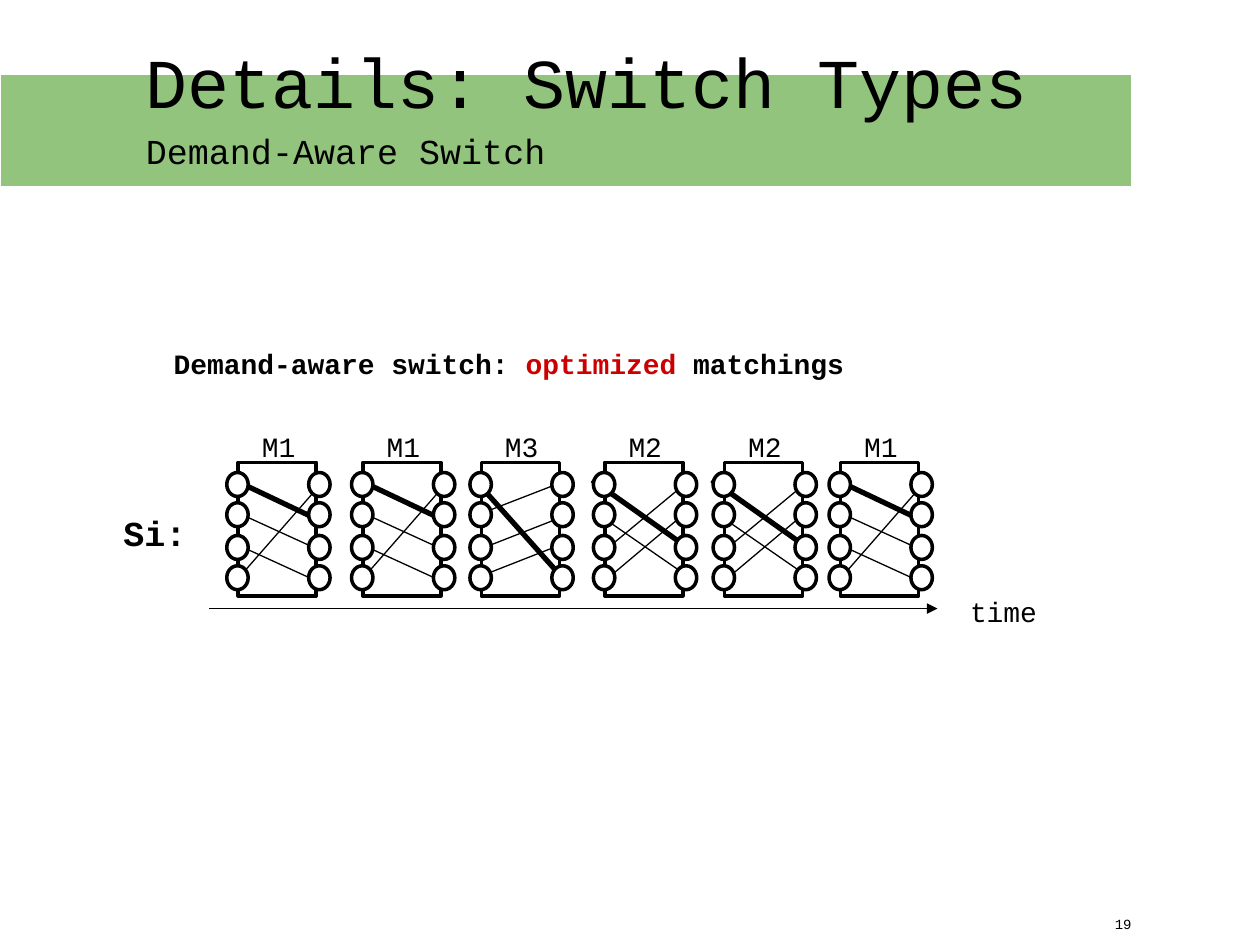
import dataclasses

import pptx
import pptx.dml.color
import pptx.enum.shapes
import pptx.enum.text
import pptx.oxml.ns
import pptx.util

SHAPE = pptx.enum.shapes.MSO_SHAPE
ALIGN = pptx.enum.text.PP_ALIGN


@dataclasses.dataclass(frozen=True)
class Theme:
    font: str = "Courier New"
    black: str = "000000"
    white: str = "FFFFFF"
    green: str = "93C47D"
    red: str = "CC0000"
    title: int = 40
    head: int = 20
    body: int = 16
    small: int = 8
    thin: float = 0.75
    edge: float = 2
    thick: float = 3


THEME = Theme()
COLS, ROWS = 100, 75

BOX_W, BOX_H = 6.2, 10.6
NODE_W, NODE_H = 1.7, 1.9
NODE_COLS = (-0.9, 5.6)
NODE_ROWS = (0.8, 3.2, 5.8, 8.2)
BOX_TOP = 36.7

LINKS = {
    "M1": [
        (-0.3, 1.4, 5.6, 4.2, THEME.thick),
        (0.2, 4.1, 6.1, 6.8, THEME.thin),
        (0.3, 6.7, 6.2, 9.4, THEME.thin),
        (-0.6, 9.9, 7.1, 1.1, THEME.thin),
    ],
    "M2": [
        (-0.7, 4.0, 5.8, 8.5, THEME.thin),
        (-0.5, 7.4, 7.1, 1.1, THEME.thin),
        (-0.6, 9.9, 7.0, 3.5, THEME.thin),
        (-1.0, 1.4, 6.9, 7.0, THEME.thick),
    ],
    "M3": [
        (-0.4, 1.5, 7.1, 9.9, THEME.thick),
        (-0.9, 4.4, 7.1, 1.3, THEME.thin),
        (-0.9, 7.2, 7.0, 4.1, THEME.thin),
        (-1.0, 9.4, 6.9, 6.3, THEME.thin),
    ],
}
STEPS = [("M1", 18.9), ("M1", 28.8), ("M3", 38.2),
         ("M2", 48.0), ("M2", 57.5), ("M1", 66.7)]


def grid(*cells):
    return [pptx.util.Inches(cell * 10 / COLS) for cell in cells]


def paint(code):
    return pptx.dml.color.RGBColor.from_string(code)


def text(slide, parts, area, size=THEME.body, bold=False, align=ALIGN.LEFT, pad=1):
    frame = slide.shapes.add_textbox(*grid(*area)).text_frame
    frame.word_wrap = True
    frame.margin_left, frame.margin_right = grid(1, 1)
    frame.margin_top, frame.margin_bottom = grid(pad, pad)
    para = frame.paragraphs[0]
    para.alignment = align
    para.line_spacing = 1.15
    for words, style in parts:
        if words == "\n":
            para.add_line_break()
            continue
        run = para.add_run()
        run.text = words
        run.font.name = THEME.font
        run.font.bold = bold
        run.font.size = pptx.util.Pt(style.get("size", size))
        run.font.color.rgb = paint(style.get("color", THEME.black))


def block(shapes, kind, area, fill=None, line=THEME.black, width=THEME.edge):
    shape = shapes.add_shape(kind, *grid(*area))
    shape.shadow.inherit = False
    if fill:
        shape.fill.solid()
        shape.fill.fore_color.rgb = paint(fill)
    else:
        shape.fill.background()
    shape.line.color.rgb = paint(line)
    shape.line.width = pptx.util.Pt(width)


def link(shapes, ends, width=THEME.thin, arrow=False):
    line = shapes.add_connector(pptx.enum.shapes.MSO_CONNECTOR.STRAIGHT, *grid(*ends))
    line.line.color.rgb = paint(THEME.black)
    line.line.width = pptx.util.Pt(width)
    props = line._element.spPr
    if arrow:
        tail = pptx.oxml.ns.qn("a:tailEnd")
        props.get_or_add_ln().makeelement(tail)
        props.ln.append(props.ln.makeelement(tail, {"type": "triangle"}))
    props.append(props.makeelement(pptx.oxml.ns.qn("a:effectLst")))


def switch(slide, name, left):
    text(slide, [(name, {})], (left + 0.9, BOX_TOP - 4, 5.3, 4))
    shapes = slide.shapes.add_group_shape().shapes
    for x1, y1, x2, y2, width in LINKS[name]:
        link(shapes, (left + x1, BOX_TOP + y1, left + x2, BOX_TOP + y2), width)
    block(shapes, SHAPE.RECTANGLE, (left, BOX_TOP, BOX_W, BOX_H))
    for col in NODE_COLS:
        for row in NODE_ROWS:
            block(shapes, SHAPE.OVAL, (left + col, BOX_TOP + row, NODE_W, NODE_H),
                  fill=THEME.white)


def main():
    deck = pptx.Presentation()
    deck.slide_width, deck.slide_height = grid(COLS, ROWS)
    slide = deck.slides.add_slide(deck.slide_layouts[6])

    text(slide, [("Demand-aware switch: ", {}), ("optimized ", {"color": THEME.red}),
                 ("matchings", {})], (12.8, 26.1, 68.7, 6.5), bold=True)
    text(slide, [("Si:", {})], (8.8, 39.1, 10.2, 6.5), size=THEME.head, bold=True)
    block(slide.shapes, SHAPE.RECTANGLE, (0, 5.9, 89.8, 8.9),
          fill=THEME.green, line=THEME.white, width=THEME.thin)
    text(slide, [("Details: Switch Types", {}), ("\n", {}),
                 ("Demand-Aware Switch", {"size": THEME.head})],
         (10.6, 1.6, 89.4, 12.5), size=THEME.title, pad=0.5)
    link(slide.shapes, (16.6, 48.3, 74.4, 48.3), arrow=True)
    text(slide, [("time", {})], (76, 45.8, 8.2, 6.5))
    for name, left in STEPS:
        switch(slide, name, left)
    text(slide, [("19", {})], (86.8, 72, 4, 3), size=THEME.small,
         align=ALIGN.RIGHT, pad=0.5)
    deck.save("out.pptx")


if __name__ == "__main__":
    main()
